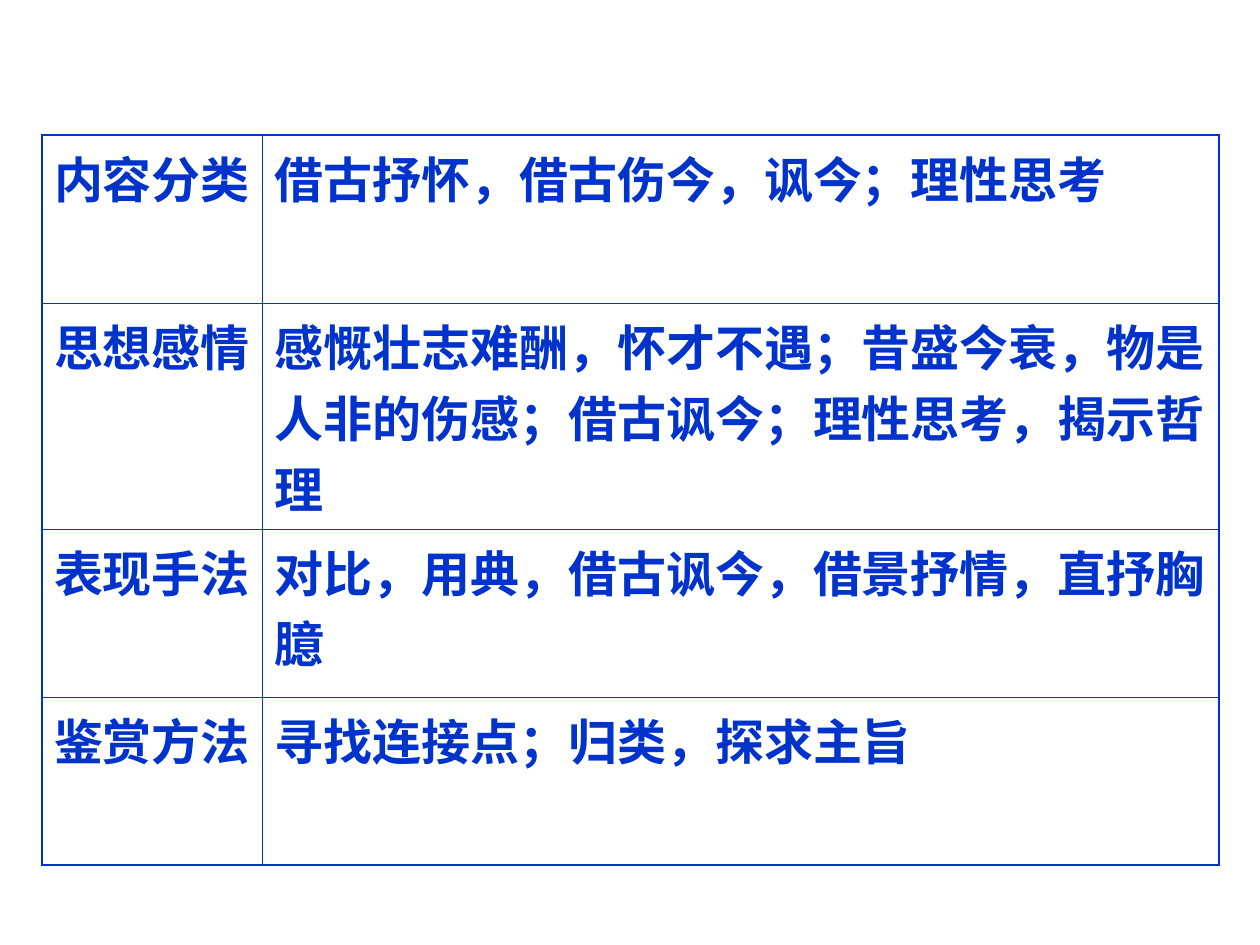
import pptx
import pptx.dml.color
import pptx.enum.lang
import pptx.oxml.ns
import pptx.util
from lxml import etree

Cm = pptx.util.Cm
Pt = pptx.util.Pt

BLUE = pptx.dml.color.RGBColor(0x00, 0x33, 0xCC)
OUTER_LINE = Pt(1.08)
INNER_LINE = Pt(0.45)

COLUMN_WIDTHS = [Cm(4.45), Cm(19.28)]
ROW_HEIGHTS = [Cm(3.4), Cm(3.81), Cm(3.4), Cm(3.38)]
ROWS = [
    ("内容分类", "借古抒怀，借古伤今，讽今；理性思考"),
    ("思想感情", "感慨壮志难酬，怀才不遇；昔盛今衰，物是人非的伤感；借古讽今；理性思考，揭示哲理"),
    ("表现手法", "对比，用典，借古讽今，借景抒情，直抒胸臆"),
    ("鉴赏方法", "寻找连接点；归类，探求主旨"),
]

CELL_FORMAT = {
    "margin_left": Cm(0.25),
    "margin_right": Cm(0.25),
    "margin_top": Cm(0.13),
    "margin_bottom": Cm(0.13),
}
FONT_FORMAT = {
    "name": "Arial",
    "size": Pt(28),
    "bold": True,
    "language_id": pptx.enum.lang.MSO_LANGUAGE_ID.SIMPLIFIED_CHINESE,
}


def apply_format(target, values):
    for name, value in values.items():
        setattr(target, name, value)


def add_border(cell, side, width):
    qn = pptx.oxml.ns.qn
    properties = cell._tc.get_or_add_tcPr()
    line = etree.SubElement(properties, qn(f"a:ln{side}"), w=str(int(width)))
    fill = etree.SubElement(line, qn("a:solidFill"))
    etree.SubElement(fill, qn("a:srgbClr"), val=str(BLUE))


def format_cell(cell, text, outer_sides):
    apply_format(cell, CELL_FORMAT)
    for side in "LRTB":
        add_border(cell, side, OUTER_LINE if side in outer_sides else INNER_LINE)
    cell.fill.background()

    run = cell.text_frame.paragraphs[0].add_run()
    run.text = text
    apply_format(run.font, FONT_FORMAT)
    run.font.color.rgb = BLUE


def add_summary_table(slide):
    shape = slide.shapes.add_table(
        len(ROWS), len(COLUMN_WIDTHS), Cm(0.84), Cm(2.72),
        sum(COLUMN_WIDTHS), sum(ROW_HEIGHTS))
    table = shape.table
    apply_format(table, {"first_row": False, "horz_banding": False})
    for column, width in zip(table.columns, COLUMN_WIDTHS):
        column.width = width
    for row, height in zip(table.rows, ROW_HEIGHTS):
        row.height = height

    # Thick lines only where a cell meets the table's edge
    for row_index, texts in enumerate(ROWS):
        for column_index, text in enumerate(texts):
            edges = {
                "L": column_index == 0,
                "R": column_index == len(texts) - 1,
                "T": row_index == 0,
                "B": row_index == len(ROWS) - 1,
            }
            outer_sides = [side for side, is_outer in edges.items() if is_outer]
            format_cell(table.cell(row_index, column_index), text, outer_sides)


def main():
    presentation = pptx.Presentation()
    presentation.slide_width = Cm(25.4)
    presentation.slide_height = Cm(19.05)
    # Blank layout
    slide = presentation.slides.add_slide(presentation.slide_layouts[6])
    add_summary_table(slide)
    presentation.save("out.pptx")


if __name__ == "__main__":
    main()
